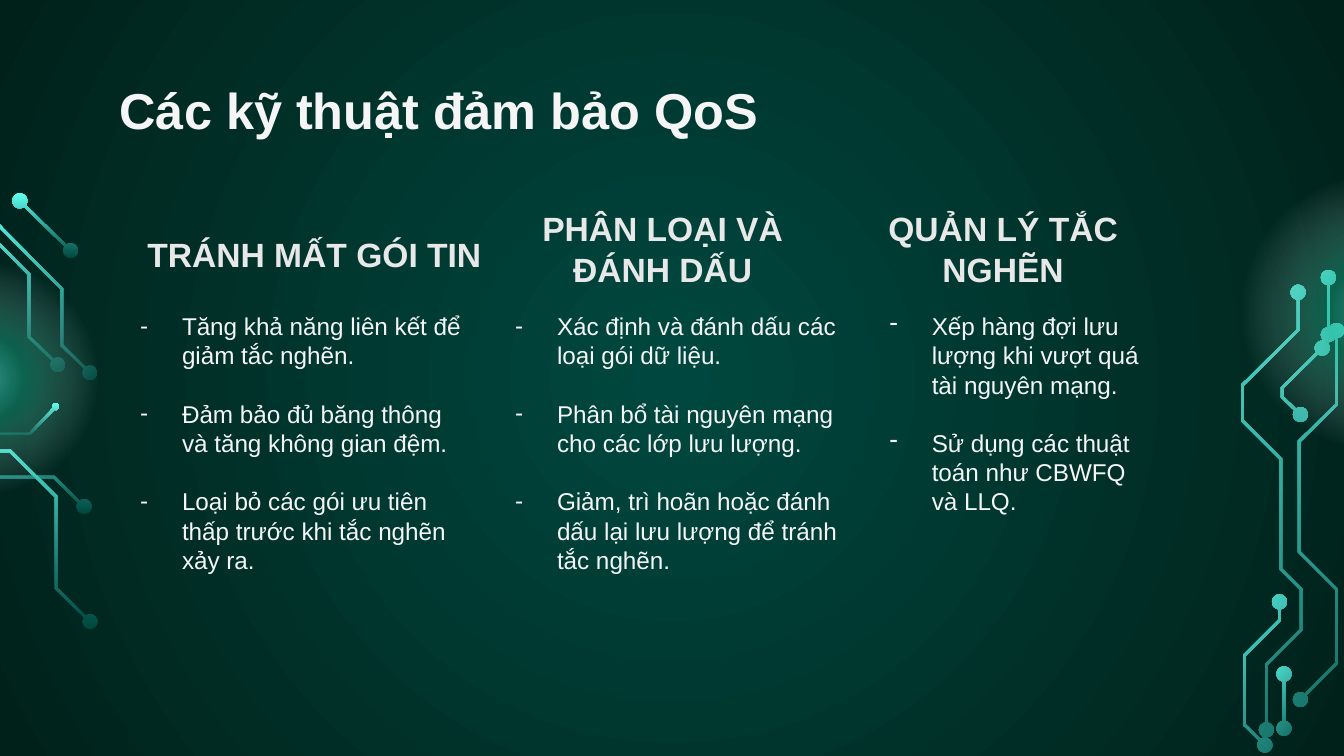
import dataclasses
import math
from typing import Optional

import lxml.etree
import pptx
import pptx.dml.color
import pptx.enum.shapes
import pptx.enum.text
import pptx.oxml
import pptx.oxml.ns
import pptx.util

Pt = pptx.util.Pt
qn = pptx.oxml.ns.qn
ANCHOR = pptx.enum.text.MSO_ANCHOR
ALIGN = pptx.enum.text.PP_ALIGN
Point = tuple[float, float]
Box = tuple[float, float, float, float]


@dataclasses.dataclass(frozen=True)
class Theme:
    font: str = "Arial"
    title_size: float = 27
    heading_size: float = 18
    body_size: float = 13
    heading_leading: float = 22
    body_leading: float = 15.65
    text: str = "F5F5F5"
    heading: str = "E8E8E8"
    dark: str = "00483F"
    bright: str = "5FFFF1"
    edge: str = "00211A"
    halo: str = "21C79D"
    white: str = "FFFFFF"


@dataclasses.dataclass(frozen=True)
class Stop:
    position: float
    color: str
    opacity: float = 100


@dataclasses.dataclass(frozen=True)
class Trace:
    """Circuit wires that share one shape; rotation turns its gradient."""
    wires: list[list[Point]]
    rotation: float
    ends_in_node: bool = True
    radius: float = 4


@dataclasses.dataclass(frozen=True)
class Column:
    heading: str
    heading_box: Box
    body_size: Point
    items: list[str]


THEME = Theme()
WIRE_WIDTH = 1.4
COLUMN_LEFT, COLUMN_PITCH, BODY_TOP = 67.8, 200.9, 162.8
LEFT_TURN, RIGHT_TURN = 180, 135

SIDE_TRACES = [
    Trace([[(45, 271.4), (28.8, 255.6), (-29.9, 255.6), (-58.3, 226.8), (-58.3, 217.4)]],
          LEFT_TURN, False),
    Trace([[(48.2, 199.8), (33.1, 185), (33.1, 154.8), (-9.7, 111.6), (-37.8, 111.6)]], LEFT_TURN),
    Trace([[(48.2, 333), (30, 315), (30, 266), (5.4, 241.6), (-54, 241.6),
            (-76.3, 218.9), (-76.3, 216.7)]], LEFT_TURN, False),
    Trace([[(31, 195.5), (15.5, 180.4), (15.5, 146.9), (-14.8, 116.3)]], LEFT_TURN),
    Trace([[(29.9, 217.8), (15.8, 232.6), (-33.5, 232.6), (-40.7, 225.4)]], LEFT_TURN, False, 1.9),
    Trace([[(37.8, 134.3), (10.6, 107.6)]], LEFT_TURN),
    Trace([[(696.6, 374.8), (716, 355.3), (716, 315.7), (695.9, 295.6), (695.9, 236.5),
            (716, 216.7), (716, 177.1)],
           [(711.6, 148.7), (711.6, 179.3)],
           [(708.3, 186.5), (686.9, 207.7), (686.9, 212.8), (696.6, 222.1)]], RIGHT_TURN),
    Trace([[(678.4, 391), (678.4, 356), (697, 337.3), (697, 315.7), (686.2, 304.9), (686.2, 246),
            (665.6, 225.4), (665.6, 206.3), (695.4, 176.8), (695.4, 156.6)]], RIGHT_TURN),
]
CORNER_TRACES = [
    Trace([[(687.8, 390.2), (687.8, 361.1)]], RIGHT_TURN),
    Trace([[(677.6, 399.2), (666.7, 388.4), (666.7, 351), (685.4, 332.3), (685.4, 322.5)]],
          RIGHT_TURN),
]

COLUMNS = [
    Column("TRÁNH MẤT GÓI TIN", (67.7, 108.9, 201.6, 45.4), (190, 165),
           ["Tăng khả năng liên kết để giảm tắc nghẽn.",
            "Đảm bảo đủ băng thông và tăng không gian đệm.",
            "Loại bỏ các gói ưu tiên thấp trước khi tắc nghẽn xảy ra."]),
    Column("PHÂN LOẠI VÀ ĐÁNH DẤU", (269.3, 101.2, 171.4, 61.2), (190, 165),
           ["Xác định và đánh dấu các loại gói dữ liệu.",
            "Phân bổ tài nguyên mạng cho các lớp lưu lượng.",
            "Giảm, trì hoãn hoặc đánh dấu lại lưu lượng để tránh tắc nghẽn."]),
    Column("QUẢN LÝ TẮC NGHẼN", (451.7, 101, 171.4, 61.2), (148.3, 117.4),
           ["Xếp hàng đợi lưu lượng khi vượt quá tài nguyên mạng.",
            "Sử dụng các thuật toán như CBWFQ và LLQ."]),
]


def paint_gradient(fill, properties, stops: list[Stop], radial: bool) -> None:
    """Fill with a gradient from the centre outwards, or from top to bottom."""
    fill.solid()
    gradient = lxml.etree.Element(qn("a:gradFill"), rotWithShape="1")
    stop_list = lxml.etree.SubElement(gradient, qn("a:gsLst"))
    for stop in stops:
        entry = lxml.etree.SubElement(stop_list, qn("a:gs"), pos=str(round(stop.position * 1000)))
        color = lxml.etree.SubElement(entry, qn("a:srgbClr"), val=stop.color)
        if stop.opacity < 100:
            lxml.etree.SubElement(color, qn("a:alpha"), val=str(round(stop.opacity * 1000)))
    if radial:
        centre = lxml.etree.SubElement(gradient, qn("a:path"), {"path": "circle"})
        lxml.etree.SubElement(centre, qn("a:fillToRect"), l="50000", t="50000", r="50000", b="50000")
    else:
        lxml.etree.SubElement(gradient, qn("a:lin"), ang="5400000", scaled="0")
    properties.replace(properties.find(qn("a:solidFill")), gradient)


def toward(start: Point, end: Point, distance: float) -> Point:
    share = distance / math.dist(start, end)
    return start[0] + (end[0] - start[0]) * share, start[1] + (end[1] - start[1]) * share


def turn(point: Point, degrees: float) -> Point:
    angle, (x, y) = math.radians(degrees), point
    return (x * math.cos(angle) - y * math.sin(angle), x * math.sin(angle) + y * math.cos(angle))


def wire_outline(points: list[Point]) -> list[Point]:
    """Widen a line to a band with mitred corners."""
    normals = []
    for (x1, y1), (x2, y2) in zip(points, points[1:]):
        length = math.hypot(x2 - x1, y2 - y1)
        normals.append(((y1 - y2) / length, (x2 - x1) / length))
    left, right = [], []
    for (x, y), (ax, ay), (bx, by) in zip(points, normals[:1] + normals, normals + normals[-1:]):
        reach = WIRE_WIDTH / 2 / (1 + ax * bx + ay * by)
        dx, dy = (ax + bx) * reach, (ay + by) * reach
        left.append((x + dx, y + dy))
        right.append((x - dx, y - dy))
    return left + right[::-1]


def node_outline(centre: Point, radius: float, neighbours: list[Point]) -> list[Point]:
    """Draw a disc, pushed out of earlier discs so that no overlap becomes a hole."""
    outline = []
    for step in range(32):
        angle = math.tau * step / 32
        point = (centre[0] + radius * math.cos(angle), centre[1] + radius * math.sin(angle))
        for other in neighbours:
            if math.dist(point, other) < radius:
                point = toward(other, point, radius)
        outline.append(point)
    return outline


def draw_trace(slide, trace: Trace) -> None:
    outlines, nodes = [], []
    for points in trace.wires:
        wire = list(points)
        ends = [wire[0]]
        wire[0] = toward(wire[0], wire[1], trace.radius)
        if trace.ends_in_node:
            ends.append(wire[-1])
            wire[-1] = toward(wire[-1], wire[-2], trace.radius)
        outlines.append(wire_outline(wire))
        for node in ends:
            outlines.append(node_outline(node, trace.radius, nodes))
            nodes.append(node)
    level = [[turn(point, -trace.rotation) for point in outline] for outline in outlines]
    across, down = zip(*(point for outline in level for point in outline))
    middle = (min(across) + max(across)) / 2, (min(down) + max(down)) / 2
    target = turn(middle, trace.rotation)
    dx, dy = target[0] - middle[0], target[1] - middle[1]
    contours = [[(Pt(x + dx), Pt(y + dy)) for x, y in outline] for outline in level]
    builder = slide.shapes.build_freeform(*contours[0][0])
    builder.add_line_segments(contours[0][1:])
    for contour in contours[1:]:
        builder.move_to(*contour[0])
        builder.add_line_segments(contour[1:])
    shape = builder.convert_to_shape()
    shape.rotation = trace.rotation
    stops = [Stop(0, THEME.dark), Stop(100, THEME.bright)]
    paint_gradient(shape.fill, shape.element.spPr, stops, radial=False)
    shape.line.fill.background()
    shape.shadow.inherit = False


def draw_halo(slide, left: float, top: float, size: float) -> None:
    oval = pptx.enum.shapes.MSO_SHAPE.OVAL
    shape = slide.shapes.add_shape(oval, Pt(left), Pt(top), Pt(size), Pt(size))
    stops = [Stop(0, THEME.bright, 55), Stop(23, THEME.halo, 37),
             Stop(62, THEME.white, 0), Stop(100, THEME.white, 0)]
    paint_gradient(shape.fill, shape.element.spPr, stops, radial=True)
    shape.line.fill.background()
    shape.shadow.inherit = False


def write_text(shape, box: Box, lines: list[str], size: float, color: str, *, bold: bool = True,
               anchor=ANCHOR.TOP, align=ALIGN.LEFT, leading: Optional[float] = None,
               inset: float = 7.2, dashed: bool = False) -> None:
    shape.left, shape.top, shape.width, shape.height = map(Pt, box)
    frame = shape.text_frame
    frame.word_wrap = True
    frame.auto_size = pptx.enum.text.MSO_AUTO_SIZE.NONE
    frame.vertical_anchor = anchor
    frame.margin_left = frame.margin_right = Pt(7.2)
    frame.margin_top = frame.margin_bottom = Pt(inset)
    level = lxml.etree.SubElement(shape.element.find(".//" + qn("a:lstStyle")), qn("a:lvl1pPr"))
    lxml.etree.SubElement(level, qn("a:defRPr"), sz=str(size * 100))
    for index, line in enumerate(lines):
        para = frame.paragraphs[0] if index == 0 else frame.add_paragraph()
        para.alignment = align
        para.space_before = Pt(leading if index and leading else 0)
        para.space_after = Pt(0)
        if leading:
            para.line_spacing = Pt(leading)
        properties = para._p.get_or_add_pPr()
        indent = Pt(22.5) if dashed else 0
        properties.set("marL", str(indent))
        properties.set("indent", str(-indent))
        if dashed:
            lxml.etree.SubElement(properties, qn("a:buChar"), char="-")
        else:
            lxml.etree.SubElement(properties, qn("a:buNone"))
        span = para.add_run()
        span.text = line
        span.font.name, span.font.size, span.font.bold = THEME.font, Pt(size), bold
        span.font.color.rgb = pptx.dml.color.RGBColor.from_string(color)


def main() -> None:
    deck = pptx.Presentation()
    deck.slide_width, deck.slide_height = Pt(720), Pt(405)
    slide = deck.slides.add_slide(deck.slide_layouts.get_by_name("Comparison"))
    fill = slide.background.fill
    fill.solid()
    paint_gradient(fill, slide.element.find(".//" + qn("p:bgPr")),
                   [Stop(0, THEME.dark), Stop(100, THEME.edge)], radial=True)
    for trace in SIDE_TRACES:
        draw_trace(slide, trace)
    draw_halo(slide, -80.6, 131.8, 141.8)
    draw_halo(slide, 654.5, 82.8, 168.5)
    for trace in CORNER_TRACES:
        draw_trace(slide, trace)

    write_text(slide.shapes.title, (56.9, 35.3, 607, 45.4), ["Các kỹ thuật đảm bảo QoS"],
               THEME.title_size, THEME.text)
    frames = [holder for holder in slide.placeholders if holder.placeholder_format.idx in range(1, 5)]
    while len(frames) < 2 * len(COLUMNS):
        frames.append(slide.shapes.add_textbox(0, 0, Pt(100), Pt(100)))
    for index, column in enumerate(COLUMNS):
        heading, body = frames[2 * index:2 * index + 2]
        write_text(heading, column.heading_box, [column.heading], THEME.heading_size, THEME.heading,
                   anchor=ANCHOR.BOTTOM, align=ALIGN.CENTER, leading=THEME.heading_leading)
        body_box = (COLUMN_LEFT + index * COLUMN_PITCH, BODY_TOP, *column.body_size)
        write_text(body, body_box, column.items, THEME.body_size, THEME.text, bold=False,
                   leading=THEME.body_leading, inset=4, dashed=True)
    deck.save("out.pptx")


if __name__ == "__main__":
    main()
